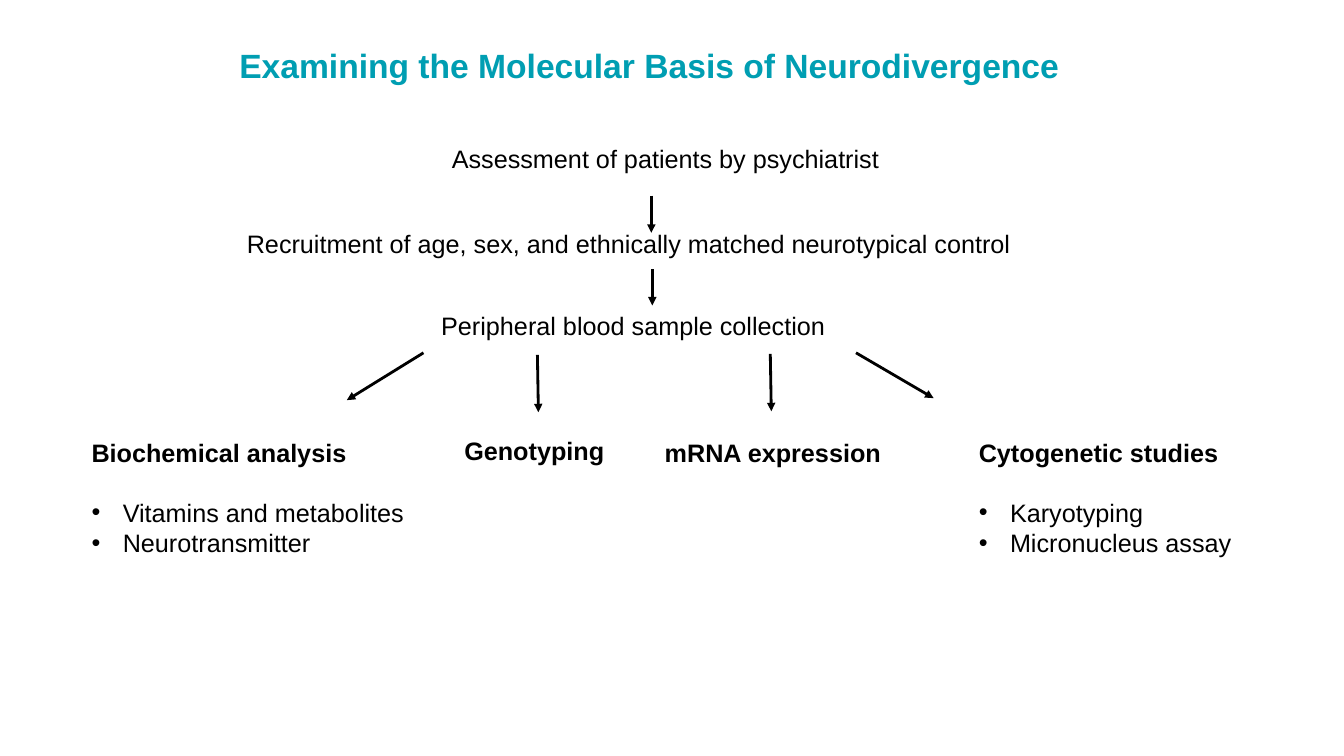
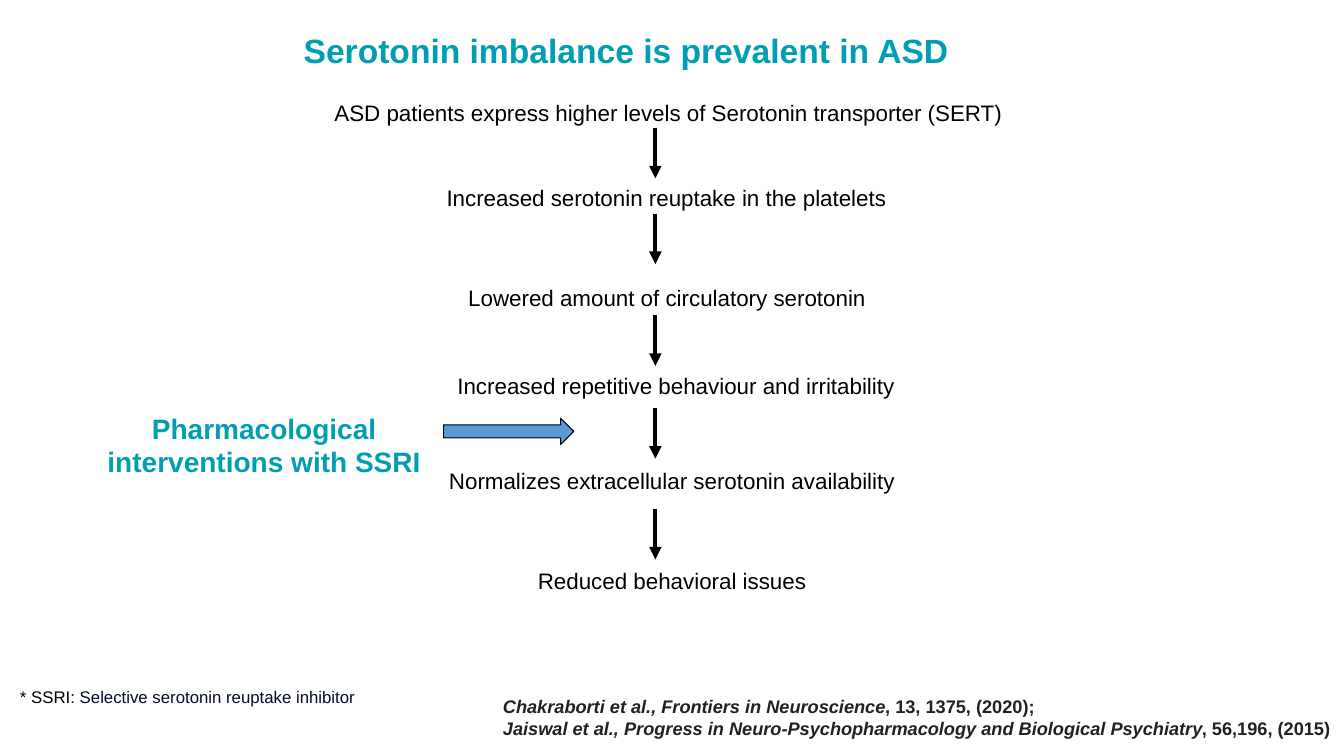
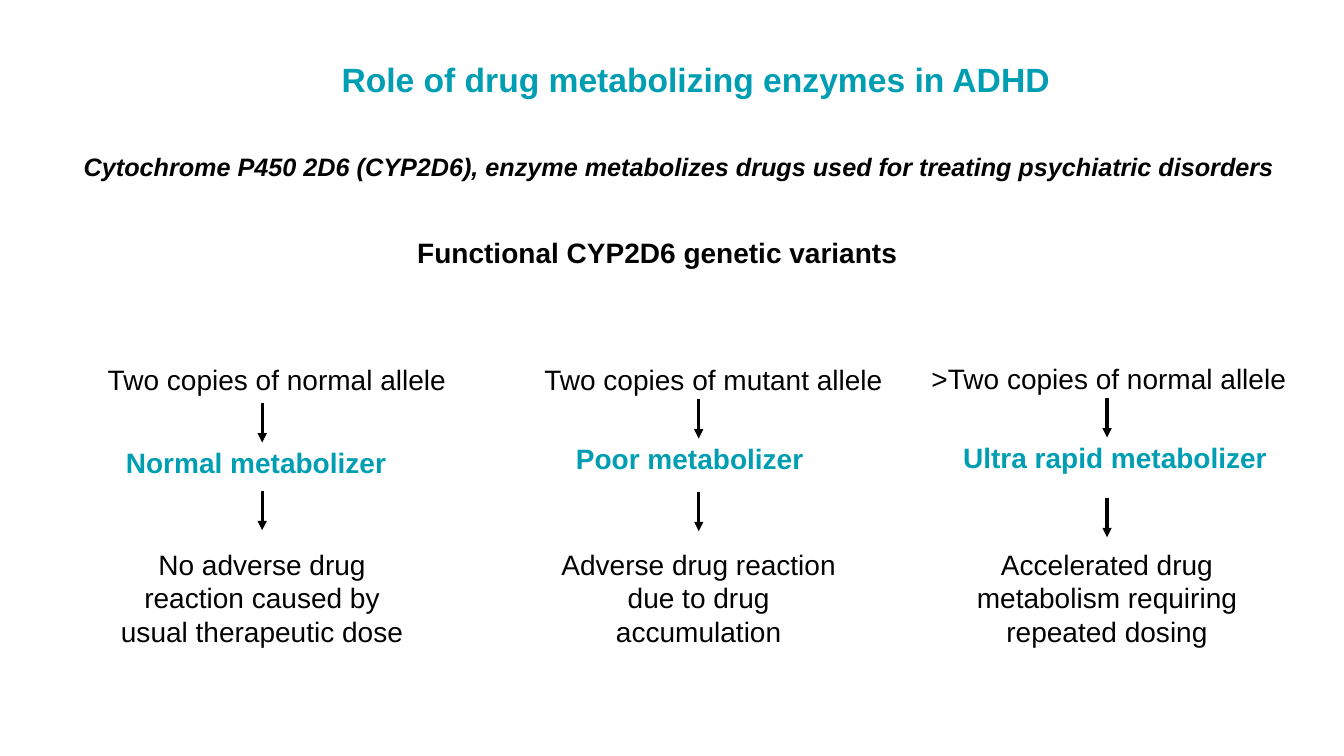
"""Build three slides on the molecular basis of neurodivergence."""
from lxml.etree import SubElement
from pptx import Presentation
from pptx.dml.color import RGBColor
from pptx.enum.shapes import MSO_CONNECTOR, MSO_SHAPE
from pptx.enum.text import MSO_ANCHOR, MSO_AUTO_SIZE, PP_ALIGN
from pptx.oxml.ns import qn
from pptx.util import Pt

PX = 9144
SLIDE_WIDTH, SLIDE_HEIGHT = 1333, 750
FONT = "Arial"
TEAL = RGBColor(0x00, 0x9E, 0xB2)
BLACK = RGBColor(0x00, 0x00, 0x00)
BLUE = RGBColor(0x5B, 0x9B, 0xD5)
CHARCOAL = RGBColor(0x21, 0x21, 0x21)
NAVY = RGBColor(0x04, 0x0C, 0x28)
LEFT, CENTER = PP_ALIGN.LEFT, PP_ALIGN.CENTER
BULLET_INDENT = 31

STUDY_TITLE = ("Examining the Molecular Basis of Neurodivergence", (191, 40, 906, 50))
STUDY_STEPS = [
    ("Assessment of patients by psychiatrist", (26, 137, 1268, 40), CENTER),
    ("Recruitment of age, sex, and ethnically matched neurotypical control",
     (235, 222, 1030, 40), LEFT),
    ("Peripheral blood sample collection", (235, 303, 786, 40), CENTER),
]
STUDY_BRANCHES = [
    ("Biochemical analysis", ["Vitamins and metabolites", "Neurotransmitter"],
     (81, 429, 357, 131), LEFT),
    ("Genotyping", [], (420, 427, 220, 40), CENTER),
    ("mRNA expression", [], (646, 429, 241, 40), CENTER),
    ("Cytogenetic studies", ["Karyotyping", "Micronucleus assay"],
     (961, 429, 303, 131), LEFT),
]
STUDY_ARROWS = [
    (646, 194, 646, 231), (647, 267, 647, 303),
    (420, 350, 344, 397), (533, 352, 534, 409),
    (764, 351, 765, 408), (849, 350, 926, 395),
]

SEROTONIN_TITLE = ("Serotonin imbalance is prevalent in ASD", (183, 25, 876, 50))
SEROTONIN_STEPS = [
    ("ASD patients express higher levels of Serotonin transporter (SERT)", 306, 93, 714),
    ("Increased serotonin reuptake in the platelets", 304, 178, 714),
    ("Lowered amount of circulatory serotonin", 434, 277, 455),
    ("Increased repetitive behaviour and irritability", 434, 364, 473),
    ("Normalizes extracellular serotonin availability", 430, 459, 473),
    ("Reduced behavioral issues", 514, 558, 305),
]
SEROTONIN_AXIS, SEROTONIN_ARROW_LENGTH = 650, 50
SEROTONIN_ARROW_TOPS = [127, 212, 313, 405, 505]
INTERVENTION = ("Pharmacological interventions with SSRI", (75, 403, 374, 77))
INTERVENTION_ARROW = (440, 415, 129, 26)
ABBREVIATION = [("* SSRI: ", {}),
                ("Selective serotonin reuptake inhibitor", {"color": NAVY})]
CITATIONS = [
    ("Chakraborti et al., Frontiers in Neuroscience", ", 13, 1375, (2020);"),
    ("Jaiswal et al., Progress in Neuro-Psychopharmacology and Biological Psychiatry",
     ", 56,196, (2015)"),
]

ENZYME_TITLE = ("Role of drug metabolizing enzymes in ADHD", (189, 53, 1002, 50))
ENZYME_SUMMARY = ("Cytochrome P450 2D6 (CYP2D6), enzyme metabolizes drugs used for "
                  "treating psychiatric disorders")
ENZYME_HEADING = "Functional CYP2D6 genetic variants"
VARIANTS = [
    {"axis": 260, "allele": ("Two copies of normal allele", 97, 355),
     "metabolizer": ("Normal metabolizer", 254, 437), "arrow_tops": (400, 487),
     "effect": ["No adverse drug reaction caused by", "usual therapeutic dose"]},
    {"axis": 693, "allele": ("Two copies of mutant allele", 530, 355),
     "metabolizer": ("Poor metabolizer", 684, 433), "arrow_tops": (396, 488),
     "effect": ["Adverse drug reaction due to drug accumulation"]},
    {"axis": 1098, "allele": (">Two copies of normal allele", 914, 354),
     "metabolizer": ("Ultra rapid metabolizer", 1106, 432), "arrow_tops": (395, 494),
     "effect": ["Accelerated drug metabolism requiring repeated dosing"]},
]
METABOLIZER_WIDTH, EFFECT_WIDTH, VARIANT_ARROW_LENGTH = 340, 310, 39


def scaled(lengths):
    """Turn px lengths into EMU."""
    return [length * PX for length in lengths]


def format_run(run, size, color=BLACK, bold=False, italic=False):
    """Give a run its font."""
    font = run.font
    font.name, font.size = FONT, Pt(size)
    font.bold, font.italic = bold, italic
    font.color.rgb = color


def add_title_slide(presentation, title, box):
    """Add a title-only slide with the shared title style."""
    slide = presentation.slides.add_slide(presentation.slide_layouts[5])
    shape = slide.shapes.title
    shape.left, shape.top, shape.width, shape.height = scaled(box)
    frame = shape.text_frame
    frame.text = title
    frame.auto_size = MSO_AUTO_SIZE.NONE
    frame.vertical_anchor = MSO_ANCHOR.TOP
    frame.paragraphs[0].alignment = CENTER
    format_run(frame.paragraphs[0].runs[0], 24, TEAL, bold=True)
    return slide


def add_text(slide, box, paragraphs, size, align=CENTER, wrap=True, **style):
    """Add a text box whose paragraphs are strings or lists of styled runs."""
    frame = slide.shapes.add_textbox(*scaled(box)).text_frame
    frame.word_wrap = wrap
    for index, content in enumerate(paragraphs):
        paragraph = frame.add_paragraph() if index else frame.paragraphs[0]
        paragraph.alignment = align
        runs = [(content, {})] if isinstance(content, str) else content
        for text, changes in runs:
            run = paragraph.add_run()
            run.text = text
            format_run(run, size, **{**style, **changes})
    return frame


def add_bullet(paragraph):
    """Give a paragraph a hanging round bullet."""
    properties = paragraph._p.get_or_add_pPr()
    properties.set("marL", str(BULLET_INDENT * PX))
    properties.set("indent", str(-BULLET_INDENT * PX))
    SubElement(properties, qn("a:buFont")).set("typeface", FONT)
    SubElement(properties, qn("a:buChar")).set("char", "•")


def add_arrow(slide, ends, width):
    """Add a black straight arrow."""
    connector = slide.shapes.add_connector(MSO_CONNECTOR.STRAIGHT, *scaled(ends))
    connector.line.color.rgb = BLACK
    connector.line.width = Pt(width)
    SubElement(connector.line._get_or_add_ln(), qn("a:tailEnd")).set("type", "triangle")
    SubElement(connector._element.spPr, qn("a:effectLst"))


def build_study(presentation):
    """Build the study design slide."""
    slide = add_title_slide(presentation, *STUDY_TITLE)
    for text, box, align in STUDY_STEPS:
        add_text(slide, box, [text], 18, align)
    for heading, items, box, align in STUDY_BRANCHES:
        content = [[(heading, {"bold": True})], *items]
        bullets = add_text(slide, box, content, 18, align).paragraphs[1:]
        for paragraph in bullets:
            add_bullet(paragraph)
        if bullets:
            bullets[0].space_before = Pt(21)
    for ends in STUDY_ARROWS:
        add_arrow(slide, ends, 2)


def build_serotonin(presentation):
    """Build the serotonin pathway slide."""
    slide = add_title_slide(presentation, *SEROTONIN_TITLE)
    for text, left, top, width in SEROTONIN_STEPS:
        add_text(slide, (left, top, width, 37), [text], 16)
    for top in SEROTONIN_ARROW_TOPS:
        ends = (SEROTONIN_AXIS, top, SEROTONIN_AXIS, top + SEROTONIN_ARROW_LENGTH)
        add_arrow(slide, ends, 3)
    text, box = INTERVENTION
    add_text(slide, box, [text], 20, color=TEAL, bold=True)
    arrow = slide.shapes.add_shape(MSO_SHAPE.RIGHT_ARROW, *scaled(INTERVENTION_ARROW))
    arrow.shadow.inherit = False
    arrow.fill.solid()
    arrow.fill.fore_color.rgb = BLUE
    arrow.line.color.rgb = BLACK
    arrow.line.width = Pt(0.75)
    add_text(slide, (10, 676, 557, 30), [ABBREVIATION], 12, LEFT)
    references = [[(source, {"italic": True}), (details, {})]
                  for source, details in CITATIONS]
    add_text(slide, (489, 685, 844, 54), references, 13, LEFT, wrap=False,
             color=CHARCOAL, bold=True)


def build_enzymes(presentation):
    """Build the drug metabolizing enzymes slide."""
    slide = add_title_slide(presentation, *ENZYME_TITLE)
    summary = add_text(slide, (47, 130, 1253, 50), [ENZYME_SUMMARY], 18,
                       bold=True, italic=True)
    summary.paragraphs[0].line_spacing = 1.5
    add_text(slide, (336, 229, 632, 44), [ENZYME_HEADING], 20, bold=True)
    for variant in VARIANTS:
        axis = variant["axis"]
        text, left, top = variant["allele"]
        add_text(slide, (left, top, 386, 44), [text], 20, LEFT)
        text, center, top = variant["metabolizer"]
        box = (center - METABOLIZER_WIDTH // 2, top, METABOLIZER_WIDTH, 44)
        add_text(slide, box, [text], 20, color=TEAL, bold=True)
        box = (axis - EFFECT_WIDTH // 2, 538, EFFECT_WIDTH, 111)
        add_text(slide, box, variant["effect"], 20)
        for top in variant["arrow_tops"]:
            add_arrow(slide, (axis, top, axis, top + VARIANT_ARROW_LENGTH), 2.25)


def main():
    """Build and save the presentation."""
    presentation = Presentation()
    presentation.slide_width, presentation.slide_height = scaled((SLIDE_WIDTH, SLIDE_HEIGHT))
    for build in (build_study, build_serotonin, build_enzymes):
        build(presentation)
    presentation.save("out.pptx")


if __name__ == "__main__":
    main()
